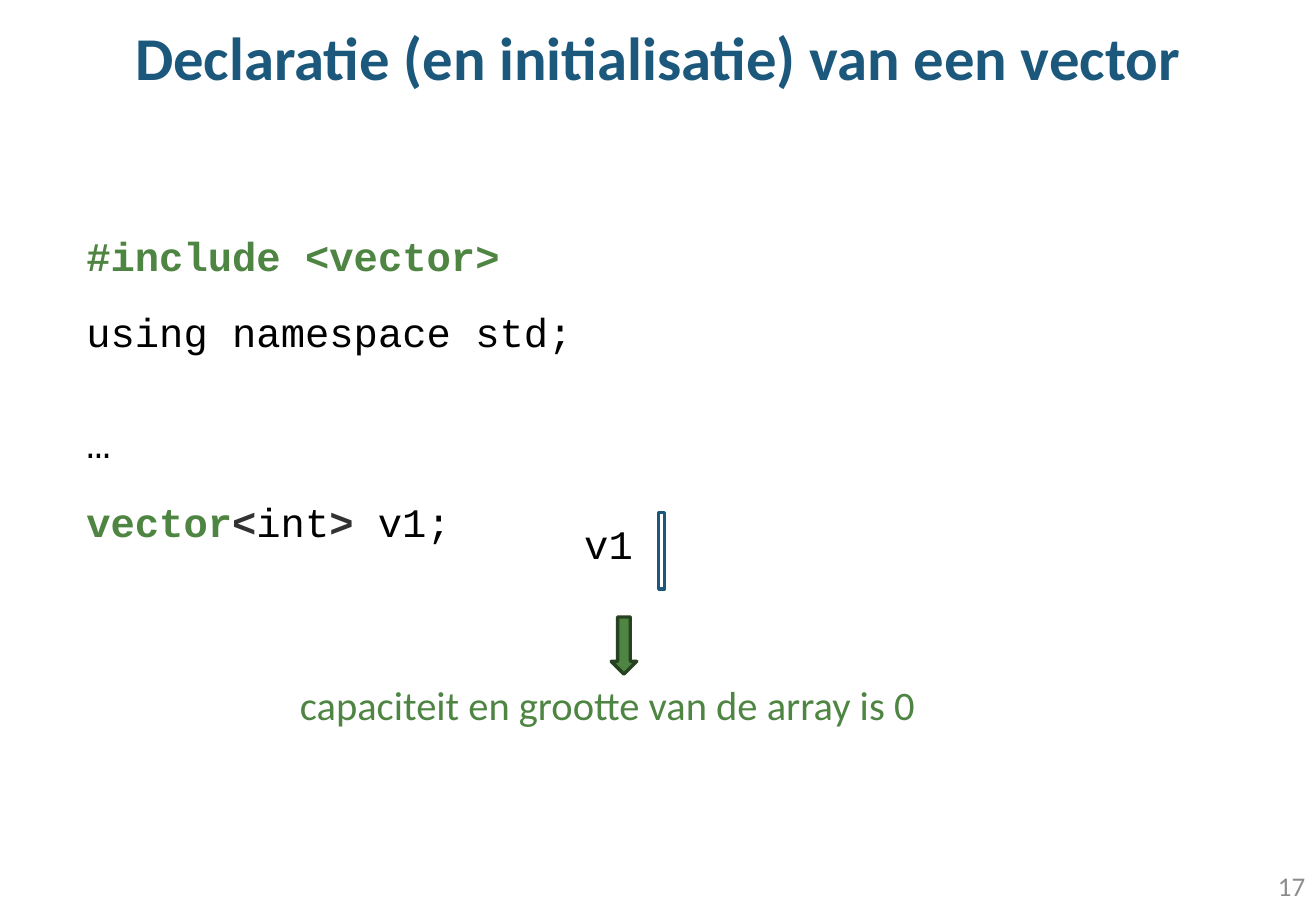
from pptx import Presentation
from pptx.dml.color import RGBColor
from pptx.enum.shapes import MSO_SHAPE
from pptx.enum.text import MSO_ANCHOR, MSO_AUTO_SIZE, PP_ALIGN
from pptx.oxml.ns import qn
from pptx.util import Inches, Pt

RECT, ARROW = MSO_SHAPE.RECTANGLE, MSO_SHAPE.DOWN_ARROW
TOP, MIDDLE = MSO_ANCHOR.TOP, MSO_ANCHOR.MIDDLE
LEFT, CENTER, RIGHT = PP_ALIGN.LEFT, PP_ALIGN.CENTER, PP_ALIGN.RIGHT
FIXED = MSO_AUTO_SIZE.NONE
SANS, MONO = "Calibri", "Courier New"
BLUE, GREEN, BLACK, DARK = "1B587C", "4E8542", "000000", "323232"


def color(code):
    return RGBColor.from_string(code)


def style(run, face, size, code, bold=False):
    run.font.name = face
    run.font.size = Pt(size)
    run.font.color.rgb = color(code)
    run.font.bold = bold


deck = Presentation()
deck.slide_width, deck.slide_height = Inches(10.83), Inches(7.5)
slide = deck.slides.add_slide(deck.slide_layouts[1])

title, body = slide.shapes.title, slide.placeholders[1]
frames = [(title, (0, 0, 10.83, 0.92), MIDDLE), (body, (0.61, 1.7, 10, 4.61), TOP)]
for holder, place, anchor in frames:
    holder.left, holder.top, holder.width, holder.height = map(Inches, place)
    holder.text_frame.auto_size = FIXED
    holder.text_frame.vertical_anchor = anchor

title.text_frame.text = "Declaratie (en initialisatie) van een vector"
head = title.text_frame.paragraphs[0]
head.alignment = CENTER
style(head.runs[0], SANS, 36, BLUE, True)

code = [
    (5, Pt(40), [("#include <vector>", GREEN, True)]),
    (5, Pt(40), [("using namespace std;", BLACK, False)]),
    (37, 1.0, [("…", BLACK, False)]),
    (18, 1.0, [("vector", GREEN, True), ("<", DARK, True), ("int", BLACK, False),
               (">", DARK, True), (" v1;", BLACK, False)]),
]
body.text_frame.text = "\n".join("" for line in code)
for para, (before, pitch, parts) in zip(body.text_frame.paragraphs, code):
    para.space_before = Pt(before)
    para.line_spacing = pitch
    props = para._p.get_or_add_pPr()
    props.set("marL", str(Inches(0.38)))
    props.set("indent", str(-Inches(0.38)))
    props.append(props.makeelement(qn("a:buNone"), {}))
    for text, tint, bold in parts:
        run = para.add_run()
        run.text = text
        style(run, MONO, 24, tint, bold)

shapes = [
    (RECT, (5.42, 4.22, 0.05, 0.63), None, BLUE),
    (ARROW, (5.03, 5.08, 0.21, 0.47), GREEN, "274221"),
]
for kind, place, fill, edge in shapes:
    shape = slide.shapes.add_shape(kind, *map(Inches, place))
    shape.shadow.inherit = False
    if fill:
        shape.fill.solid()
        shape.fill.fore_color.rgb = color(fill)
    else:
        shape.fill.background()
    shape.line.color.rgb = color(edge)
    shape.line.width = Pt(2)

labels = [
    ("v1", (4.71, 4.22, 0.7, 0.5), MONO, 24, BLACK, LEFT, TOP),
    ("capaciteit en grootte van de array is 0", (2.37, 5.55, 7.42, 0.5),
     SANS, 24, GREEN, LEFT, TOP),
    ("17", (8.31, 7.09, 2.53, 0.4), SANS, 16, "8C8C8C", RIGHT, MIDDLE),
]
for text, place, face, size, tint, align, anchor in labels:
    frame = slide.shapes.add_textbox(*map(Inches, place)).text_frame
    frame.word_wrap = True
    frame.vertical_anchor = anchor
    frame.text = text
    frame.paragraphs[0].alignment = align
    style(frame.paragraphs[0].runs[0], face, size, tint)

deck.save("out.pptx")
